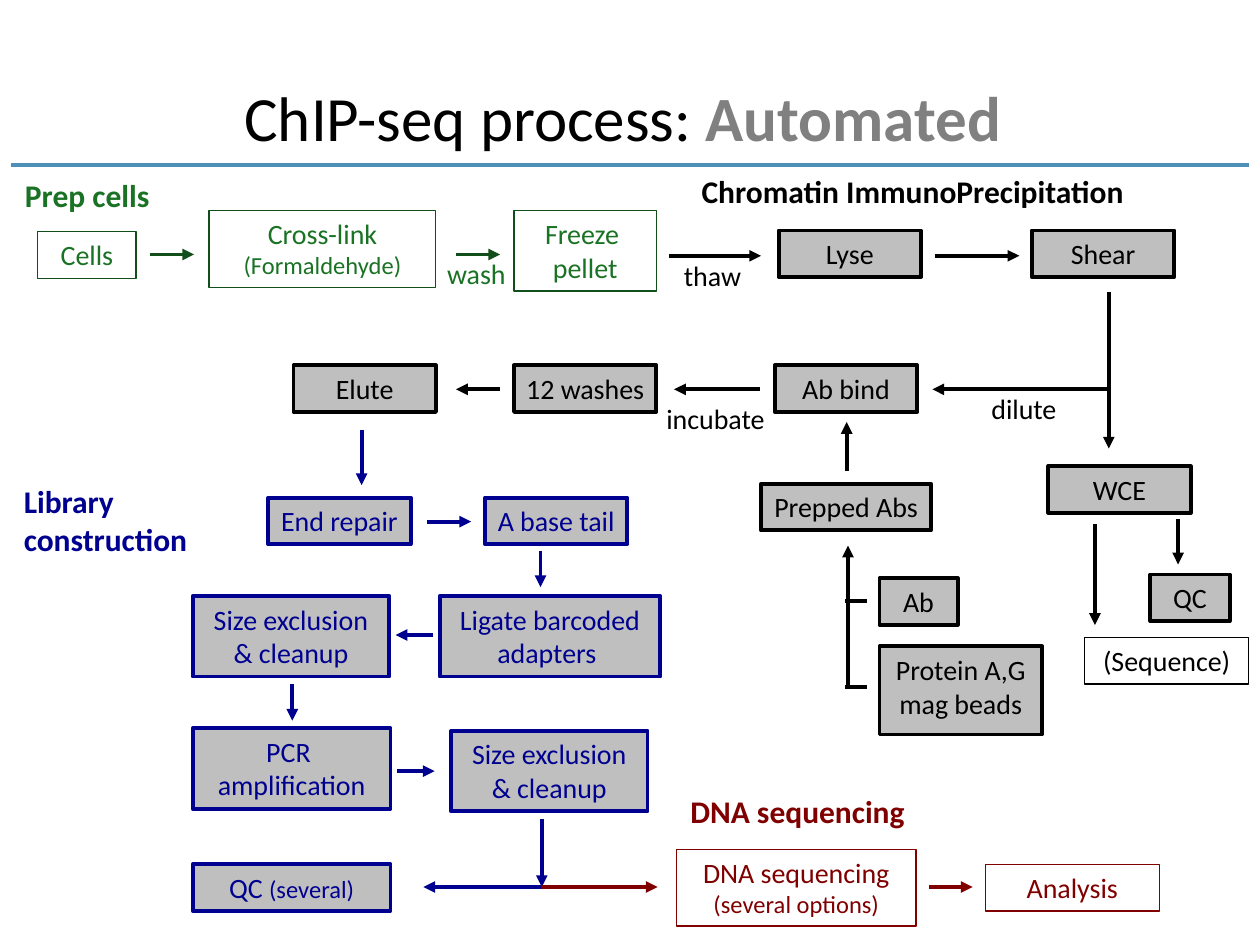
from pptx import Presentation
from pptx.dml.color import RGBColor
from pptx.enum.shapes import MSO_CONNECTOR as Conn, MSO_SHAPE as Kind
from pptx.enum.text import MSO_ANCHOR as Anchor, PP_ALIGN as Align
from pptx.oxml.ns import qn
from pptx.util import Inches, Pt
from lxml.etree import SubElement

BLACK, GREEN, PINE = "000000", "1A7224", "124E19"
NAVY, MAROON, GREY = "000090", "800000", "BFBFBF"


def tint(part, hue):
    part.rgb = RGBColor.from_string(hue)


def apply(part, form):
    for key, value in form.items():
        setattr(part, key, value)


def write(shape, text, size, hue, small=14, bold=False, align=Align.LEFT,
          side=0.1, anchor=Anchor.TOP):
    frame = shape.text_frame
    apply(frame, {"word_wrap": True, "vertical_anchor": anchor,
                  "margin_left": Inches(side), "margin_right": Inches(side),
                  "margin_top": Inches(0.05), "margin_bottom": Inches(0.05)})
    for i, line in enumerate(text.split("\n")):
        para = frame.add_paragraph() if i else frame.paragraphs[0]
        para.alignment = align
        for part, points in zip(line.split("|"), (size, small)):
            if part:
                run = para.add_run()
                run.text = part
                apply(run.font, {"name": "Calibri", "size": Pt(points), "bold": bold})
                tint(run.font.color, hue)
    return frame


class Region:
    def __init__(self, slide, box, hue, edge=None):
        self.shapes = slide.shapes
        self.left, self.top, self.width, self.height = box
        self.hue, self.edge = hue, edge or hue

    def place(self, x, y, wide, high):
        return [Inches(v) for v in (self.left + x, self.top + y, wide, high)]

    def label(self, text, x, y, wide, high=0.37, size=16, bold=False):
        shape = self.shapes.add_textbox(*self.place(x, y, wide, high))
        write(shape, text, size, self.hue, bold=bold)

    def head(self, text, x, y, wide, high=0.4):
        self.label(text, x, y, wide, high, 18, True)

    def node(self, text, x, y, wide=1.13, high=0.37, plain=False):
        shape = self.shapes.add_shape(Kind.RECTANGLE, *self.place(x, y, wide, high))
        shape.shadow.inherit = False
        if plain:
            shape.fill.background()
        else:
            shape.fill.solid()
            tint(shape.fill.fore_color, GREY)
        tint(shape.line.color, self.edge)
        shape.line.width = Pt(0.75 if plain else 2.25)
        write(shape, text, 16, self.hue, align=Align.CENTER, side=0.05)

    def link(self, x, y, to_x, to_y, tip=True, width=2.25):
        ends = self.place(x, y, self.left + to_x, self.top + to_y)
        line = self.shapes.add_connector(Conn.STRAIGHT, *ends)
        tint(line.line.color, self.edge)
        line.line.width = Pt(width)
        props = line._element.spPr
        if tip:
            SubElement(props.find(qn("a:ln")), qn("a:tailEnd"), type="triangle")
        SubElement(props, qn("a:effectLst"))

    def row(self, y, *spans):
        for start, end in spans:
            self.link(start, y, end, y)

    def drop(self, x, start, end):
        self.link(x, start, x, end)


def title(slide, box):
    area = Region(slide, box, BLACK, "4E90BA")
    shape = slide.shapes.add_textbox(*area.place(0.41, 0, 9, 1.25))
    frame = write(shape, "ChIP-seq process: |Automated ", 36, BLACK, small=36,
                  align=Align.CENTER, anchor=Anchor.MIDDLE)
    accent = frame.paragraphs[0].runs[1].font
    accent.bold = True
    tint(accent.color, "808080")
    area.link(0, 1.01, area.width, 1.01, False, 2)


def prep(slide, box):
    area = Region(slide, box, GREEN, PINE)
    area.head("Prep cells", 0, 0, 1.44)
    area.node("Cells", 0.2, 0.49, 0.78, plain=True)
    area.node("Cross-link\n|(Formaldehyde)", 1.56, 0.32, 1.8, 0.61, True)
    area.node("Freeze \npellet", 3.98, 0.32, 1.13, 0.64, True)
    area.label("wash", 3.35, 0.64, 1.03)
    area.row(0.67, (1.09, 1.44), (3.52, 3.87))


def chip(slide, box):
    area = Region(slide, box, BLACK)
    area.head("Chromatin ImmunoPrecipitation", 3.14, 0, 4.4)
    for text, x, y, wide in (
            ("thaw", 3, 0.68, 1.03),
            ("dilute", 5.44, 1.74, 0.84),
            ("incubate", 2.86, 1.82, 1.24)):
        area.label(text, x, y, wide)
    for text, x, y in (
            ("Lyse", 3.85, 0.51), ("Shear", 5.86, 0.51),
            ("Ab bind", 3.82, 1.58), ("12 washes", 1.75, 1.58),
            ("Elute", 0, 1.58), ("WCE", 5.99, 2.38)):
        area.node(text, x, y)
    area.node("Prepped Abs", 3.71, 2.52, 1.35)
    area.node("Ab", 4.65, 3.27, 0.62)
    area.node("Protein A,G\nmag beads", 4.65, 3.81, 1.29, 0.7)
    area.node("QC", 6.8, 3.24, 0.63)
    area.node("(Sequence)", 6.28, 3.74, 1.3, plain=True)
    area.row(0.71, (2.98, 3.71), (5.09, 5.76))
    area.row(1.77, (6.46, 5.07), (3.7, 3.02), (1.64, 1.29))
    for x, start, end in (
            (6.47, 1, 2.24), (6.36, 2.84, 3.64), (7.02, 2.8, 3.16),
            (4.39, 2.42, 2.03), (4.4, 4.13, 3.01)):
        area.drop(x, start, end)
    for y in (3.45, 4.13):
        area.link(4.38, y, 4.55, y, False)


def library(slide, box):
    area = Region(slide, box, NAVY)
    area.head("Library\nconstruction", 0, 0.37, 3.09, 0.71)
    area.node("End repair", 2.04, 0.54)
    area.node("A base tail", 3.76, 0.54)
    for text, x, y, wide in (
            ("Ligate barcoded adapters ", 3.4, 1.32, 1.75),
            (" Size exclusion \n& cleanup", 1.44, 1.32, 1.56),
            ("PCR \namplification", 1.44, 2.37, 1.57),
            (" Size exclusion \n& cleanup", 3.49, 2.39, 1.56)):
        area.node(text, x, y, wide, 0.64)
    area.node("QC |(several)", 1.44, 3.45, 1.57)
    for y, start, end in (
            (0.73, 3.3, 3.65), (1.63, 3.35, 3.05),
            (2.71, 3.06, 3.36), (3.63, 4.2, 3.27)):
        area.row(y, (start, end))
    for x, start, end in (
            (2.78, 0, 0.44), (4.2, 0.96, 1.25),
            (2.23, 2.02, 2.31), (4.21, 3.09, 3.63)):
        area.drop(x, start, end)


def sequence(slide, box):
    area = Region(slide, box, MAROON)
    area.head("DNA sequencing", 1.09, 0, 2.58)
    area.node("DNA sequencing |(several options)", 1.08, 0.5, 1.9, 0.61, True)
    area.node("Analysis", 3.53, 0.62, 1.38, plain=True)
    area.row(0.8, (0, 0.93), (3.08, 3.43))


def main():
    deck = Presentation()
    apply(deck, {"slide_width": Inches(10), "slide_height": Inches(7.5)})
    slide = deck.slides.add_slide(deck.slide_layouts[6])
    title(slide, (0.09, 0.3, 9.82, 1.25))
    prep(slide, (0.1, 1.35, 5.11, 1.01))
    chip(slide, (2.33, 1.32, 7.58, 4.51))
    library(slide, (0.09, 3.41, 5.15, 3.82))
    sequence(slide, (4.29, 6.24, 4.91, 1.11))
    deck.save("out.pptx")


if __name__ == "__main__":
    main()
